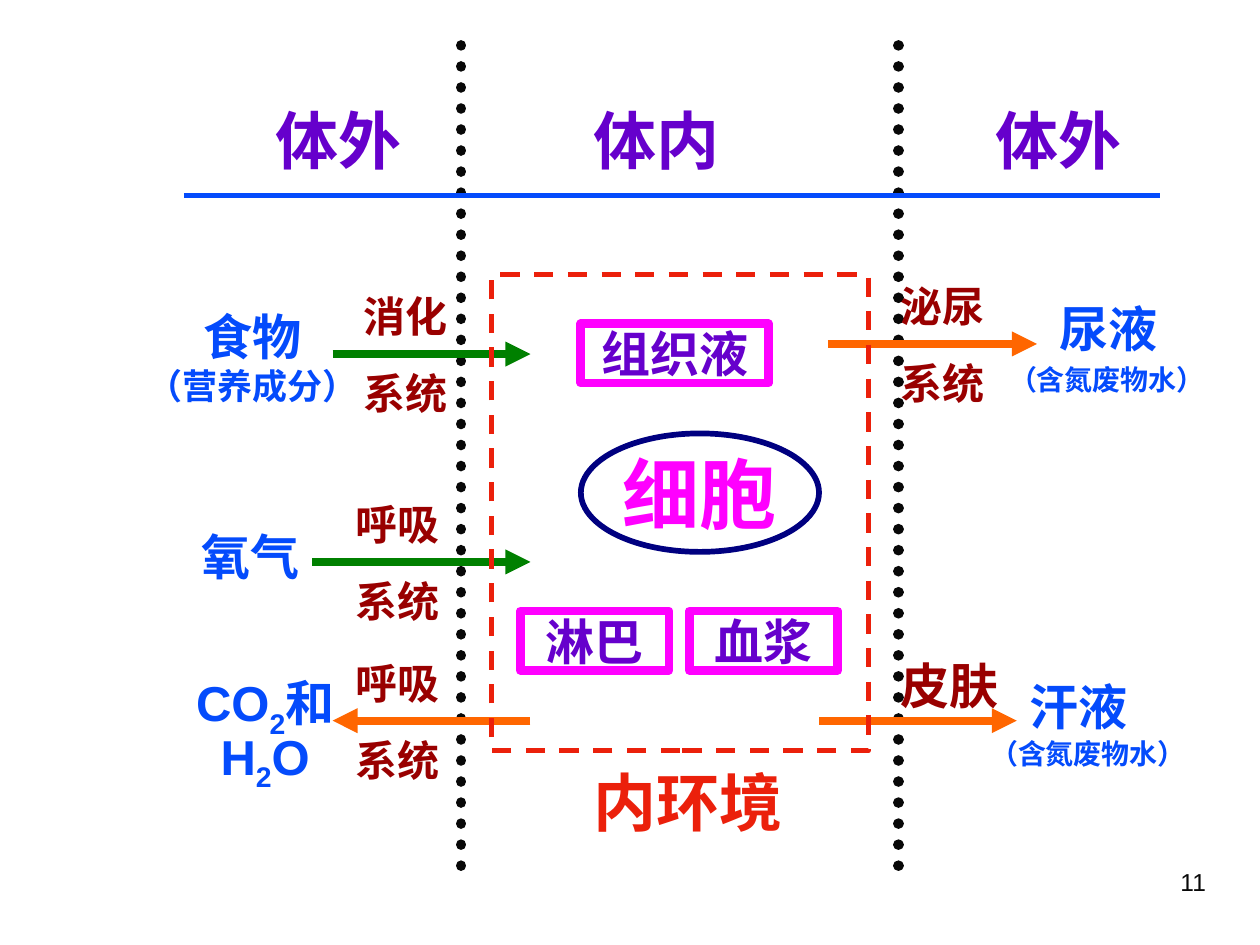
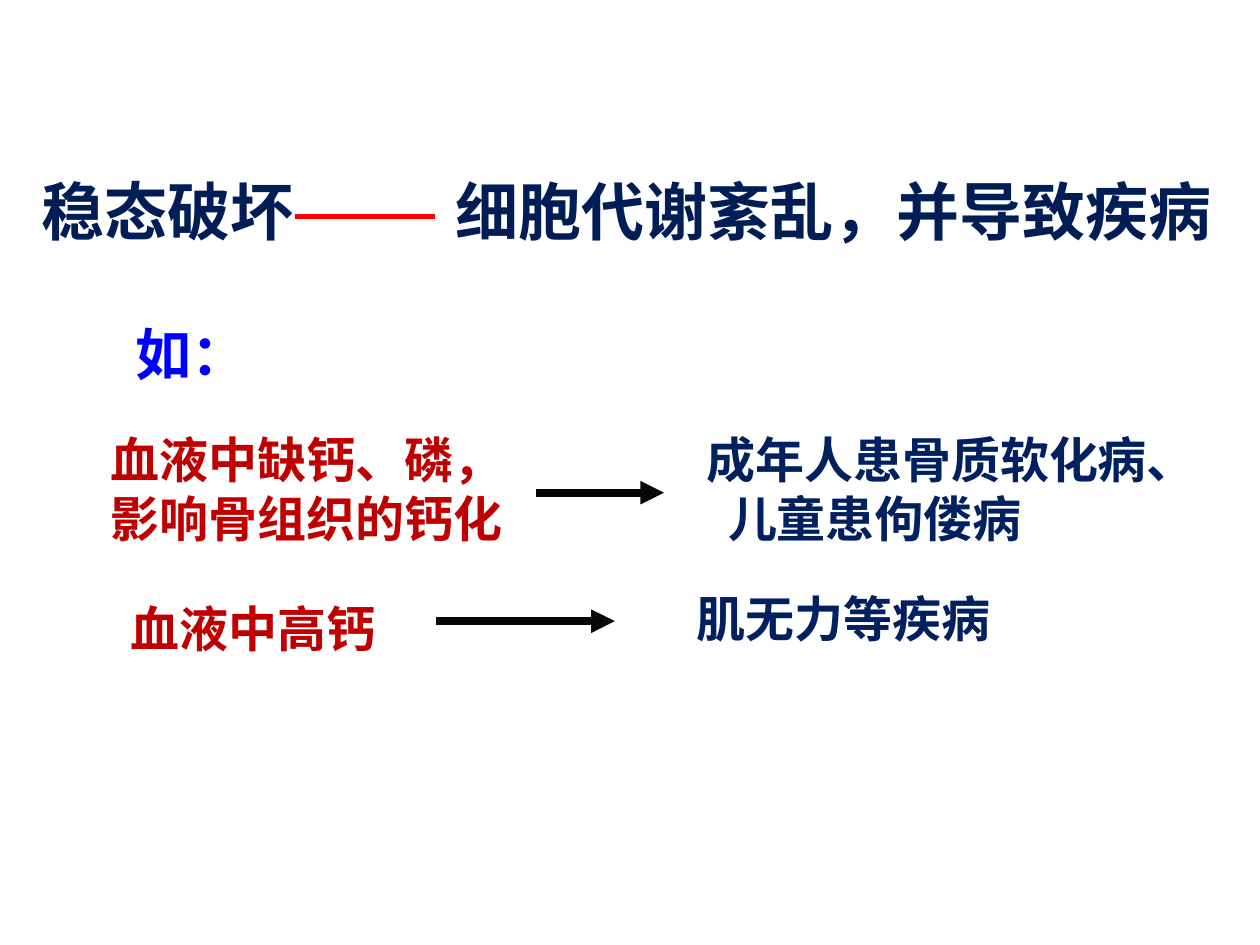
"""Build two slides on the internal environment and the effects of losing its balance."""
from dataclasses import dataclass

from lxml.etree import SubElement
from pptx import Presentation
from pptx.dml.color import RGBColor
from pptx.enum.dml import MSO_LINE
from pptx.enum.shapes import MSO_CONNECTOR, MSO_SHAPE
from pptx.enum.text import MSO_ANCHOR, MSO_AUTO_SIZE, PP_ALIGN
from pptx.oxml.ns import qn
from pptx.slide import Slide
from pptx.text.text import TextFrame
from pptx.util import Inches, Pt


@dataclass(frozen=True)
class Theme:
    """Colours, type sizes and fonts of the deck."""
    ink: str = "080808"
    blue: str = "044BFC"
    bright_blue: str = "0000FF"
    navy: str = "000080"
    title_navy: str = "001D56"
    effect_navy: str = "002060"
    purple: str = "6600CC"
    magenta: str = "FF00FF"
    maroon: str = "990000"
    cause_red: str = "C00000"
    red: str = "FF0000"
    boundary_red: str = "EB200B"
    green: str = "008000"
    orange: str = "FF6600"
    cell: int = 44
    heading: int = 36
    example: int = 32
    body: int = 28
    system: int = 24
    detail: int = 20
    note: int = 16
    number: int = 14
    sans: str = "Arial"
    serif: str = "Times New Roman"
    cjk: str = "Noto Sans CJK SC"
    display: str = "Montserrat"


THEME = Theme()


@dataclass(frozen=True)
class Label:
    """Text with its place and style; sizes may differ by paragraph."""
    lines: tuple[str, ...]
    left: float
    top: float
    width: float
    height: float
    sizes: tuple[int, ...]
    color: str
    font: str = THEME.sans
    align: PP_ALIGN = PP_ALIGN.LEFT
    gap: float = 0
    bold: bool = True
    wrap: bool = True


@dataclass(frozen=True)
class Stroke:
    """A straight line, which may be an arrow or a row of dots."""
    start: tuple[float, float]
    end: tuple[float, float]
    color: str
    width: float
    arrow: bool = False
    dotted: bool = False


def format_text(frame: TextFrame, label: Label) -> None:
    """Write and format the paragraphs of a label."""
    frame.text = "\n".join(label.lines)
    frame.word_wrap = label.wrap
    frame.auto_size = MSO_AUTO_SIZE.NONE
    for index, paragraph in enumerate(frame.paragraphs):
        paragraph.alignment = label.align
        if index and label.gap:
            paragraph.space_before = Pt(label.gap)
        for run in paragraph.runs:
            run.font.name = label.font
            run.font.size = Pt(label.sizes[min(index, len(label.sizes) - 1)])
            run.font.bold = label.bold
            run.font.color.rgb = RGBColor.from_string(label.color)


def add_label(slide: Slide, label: Label) -> TextFrame:
    """Place a label in a text box."""
    box = slide.shapes.add_textbox(Inches(label.left), Inches(label.top),
                                   Inches(label.width), Inches(label.height))
    format_text(box.text_frame, label)
    return box.text_frame


def add_title(slide: Slide, label: Label) -> None:
    """Move the title placeholder into place and fill it."""
    title = slide.shapes.title
    title.left, title.top = Inches(label.left), Inches(label.top)
    title.width, title.height = Inches(label.width), Inches(label.height)
    format_text(title.text_frame, label)
    title.text_frame.vertical_anchor = MSO_ANCHOR.TOP


def add_outline(slide: Slide, kind: MSO_SHAPE, label: Label, color: str, width: float,
                inset: float = 0, anchor: MSO_ANCHOR = MSO_ANCHOR.TOP,
                dash: MSO_LINE | None = None) -> None:
    """Draw an unfilled shape around a label."""
    outline = slide.shapes.add_shape(kind, Inches(label.left), Inches(label.top),
                                     Inches(label.width), Inches(label.height))
    outline.shadow.inherit = False
    outline.fill.background()
    outline.line.color.rgb = RGBColor.from_string(color)
    outline.line.width = Pt(width)
    if dash:
        outline.line.dash_style = dash
    if label.lines:
        frame = outline.text_frame
        format_text(frame, label)
        frame.vertical_anchor = anchor
        frame.margin_left = frame.margin_right = Inches(inset)
        frame.margin_top = frame.margin_bottom = Inches(inset / 2)


def add_stroke(slide: Slide, stroke: Stroke) -> None:
    """Draw a line, an arrow or a row of dots."""
    ends = [Inches(value) for value in (*stroke.start, *stroke.end)]
    connector = slide.shapes.add_connector(MSO_CONNECTOR.STRAIGHT, *ends)
    connector.line.color.rgb = RGBColor.from_string(stroke.color)
    connector.line.width = Pt(stroke.width)
    properties = connector.line._get_or_add_ln()
    if stroke.dotted:
        properties.set("cap", "rnd")
        connector.line.dash_style = MSO_LINE.ROUND_DOT
    if stroke.arrow:
        SubElement(properties, qn("a:tailEnd"), type="triangle")
    SubElement(connector._element.spPr, qn("a:effectLst"))


def add_gases(slide: Slide) -> None:
    """Write the exhaled gases with their subscripts."""
    frame = add_label(slide, Label(("",), 1.34, 5.34, 1.53, 0.95, (THEME.body,), THEME.blue))
    paragraph = frame.paragraphs[0]
    paragraph.alignment = PP_ALIGN.CENTER
    paragraph.line_spacing = 0.8
    for part in ("CO", "2", "和H", "2", "O"):
        run = paragraph.add_run()
        run.text = part
        run.font.name, run.font.size, run.font.bold = THEME.sans, Pt(THEME.body), True
        run.font.color.rgb = RGBColor.from_string(THEME.blue)
        if part == "2":
            run.font._element.set("baseline", "-25000")


def build_exchange(slide: Slide) -> None:
    """Show what the body exchanges with its surroundings."""
    add_stroke(slide, Stroke((2.48, 4.46), (4.21, 4.46), THEME.green, 4.75, arrow=True))
    for x, bottom in ((3.66, 6.98), (7.13, 6.9)):
        add_stroke(slide, Stroke((x, 0.36), (x, bottom), THEME.ink, 6, dotted=True))
    for start, end, y, color in ((2.64, 4.21, 2.81, THEME.green), (6.57, 8.23, 2.73, THEME.orange),
                                 (6.5, 8.07, 5.72, THEME.orange), (4.21, 2.64, 5.72, THEME.orange)):
        add_stroke(slide, Stroke((start, y), (end, y), color, 4.75, arrow=True))
    add_stroke(slide, Stroke((1.46, 1.55), (9.21, 1.55), THEME.blue, 3))

    for zone, left in (("体外", 2.09), ("体内", 4.61), ("体外", 7.8)):
        add_label(slide, Label((zone,), left, 0.76, 1.54, 0.7, (THEME.heading,), THEME.purple))

    add_outline(slide, MSO_SHAPE.RECTANGLE, Label((), 3.9, 2.18, 2.99, 3.78, (), THEME.ink),
                THEME.boundary_red, 2.75, dash=MSO_LINE.DASH)
    add_outline(slide, MSO_SHAPE.OVAL,
                Label(("细胞",), 4.61, 3.44, 1.89, 0.94, (THEME.cell,), THEME.magenta,
                      THEME.serif, PP_ALIGN.CENTER, wrap=False),
                THEME.navy, 3.25, inset=0.1, anchor=MSO_ANCHOR.MIDDLE)
    for fluid, left, top, width in (("血浆", 5.47, 4.85, 1.18), ("淋巴", 4.13, 4.85, 1.18),
                                    ("组织液", 4.61, 2.57, 1.49)):
        add_outline(slide, MSO_SHAPE.RECTANGLE,
                    Label((fluid,), left, top, width, 0.47, (THEME.body,), THEME.purple,
                          THEME.cjk, PP_ALIGN.CENTER),
                    THEME.magenta, 5)

    for organ, left, top in (("消化", 2.79, 2.26), ("呼吸", 2.72, 3.91),
                             ("呼吸", 2.72, 5.17), ("泌尿", 7.05, 2.18)):
        add_label(slide, Label((organ, "系统"), left, top, 1.73, 1.11, (THEME.system,),
                               THEME.maroon, gap=15))
    add_label(slide, Label(("皮肤",), 7.05, 5.15, 1.26, 0.57, (THEME.body,), THEME.maroon))

    add_label(slide, Label(("食物", "（营养成分）"), 0.98, 2.38, 2.05, 0.9,
                           (THEME.body, THEME.detail), THEME.blue, align=PP_ALIGN.CENTER))
    for substance, left, top in (("氧气", 1.5, 4.13), ("尿液", 8.31, 2.32), ("汗液", 8.07, 5.32)):
        add_label(slide, Label((substance,), left, top, 1.26, 0.57, (THEME.body,), THEME.blue))
    for left, top in ((7.91, 2.83), (7.76, 5.8)):
        add_label(slide, Label(("（含氮废物水）",), left, top, 1.89, 0.37, (THEME.note,), THEME.blue))
    add_gases(slide)

    add_label(slide, Label(("内环境",), 4.61, 6.01, 1.7, 0.7, (THEME.heading,),
                           THEME.boundary_red, THEME.serif, wrap=False))
    add_label(slide, Label(("11",), 7.17, 6.83, 2.5, 0.52, (THEME.number,), THEME.ink,
                           align=PP_ALIGN.RIGHT, bold=False))


def build_imbalance(slide: Slide) -> None:
    """Show the diseases that follow when the balance is lost."""
    add_title(slide, Label(("稳态破坏",), 0.23, 1.32, 2.64, 0.7, (THEME.heading,),
                           THEME.title_navy, THEME.cjk))
    add_stroke(slide, Stroke((2.34, 1.72), (3.45, 1.72), THEME.red, 3))
    add_label(slide, Label(("细胞代谢紊乱，并导致疾病",), 3.52, 1.32, 6.48, 0.7,
                           (THEME.heading,), THEME.title_navy, THEME.cjk))
    add_label(slide, Label(("如：",), 0.98, 2.49, 1.34, 0.64, (THEME.example,), THEME.bright_blue))

    for cause, left, top, width, height in (
            ("血液中缺钙、磷，影响骨组织的钙化", 0.78, 3.36, 3.39, 1.04),
            ("血液中高钙", 0.94, 4.7, 2.56, 0.57)):
        add_label(slide, Label((cause,), left, top, width, height, (THEME.body,),
                               THEME.cause_red, THEME.display))
    for start, end, y in ((4.25, 5.27, 3.91), (3.46, 4.88, 4.93)):
        add_stroke(slide, Stroke((start, y), (end, y), THEME.ink, 4.5, arrow=True))
    bone_diseases = add_label(slide, Label(("成年人患骨质软化病、", "儿童患佝偻病"), 5.51, 3.36,
                                           4.14, 1.04, (THEME.body,), THEME.effect_navy,
                                           THEME.display))
    bone_diseases.paragraphs[1]._p.get_or_add_pPr().set("marL", str(Inches(0.17)))
    add_label(slide, Label(("肌无力等疾病",), 5.43, 4.62, 2.8, 0.57, (THEME.body,),
                           THEME.effect_navy, THEME.display))


def main() -> None:
    """Create and save the deck."""
    deck = Presentation()
    deck.slide_width, deck.slide_height = Inches(10), Inches(7.5)
    title_only, blank = deck.slide_layouts[5], deck.slide_layouts[6]
    build_exchange(deck.slides.add_slide(blank))
    build_imbalance(deck.slides.add_slide(title_only))
    deck.save("out.pptx")


if __name__ == "__main__":
    main()
